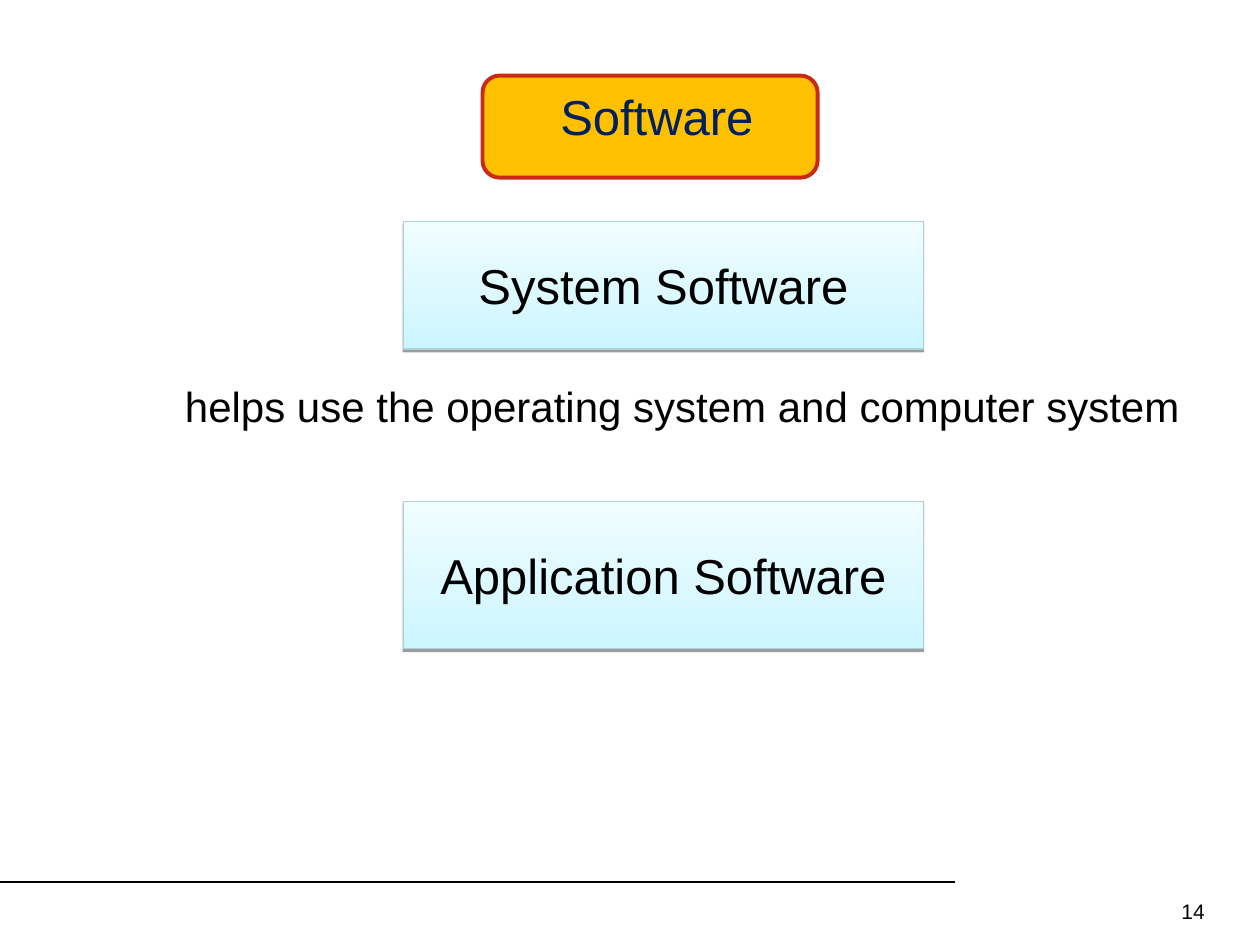
from lxml import etree
from pptx import Presentation
from pptx.dml.color import RGBColor
from pptx.enum.shapes import MSO_CONNECTOR, MSO_SHAPE
from pptx.enum.text import MSO_ANCHOR, MSO_AUTO_SIZE, PP_ALIGN
from pptx.oxml import parse_xml
from pptx.oxml.ns import nsdecls, qn
from pptx.util import Inches, Pt

STRAIGHT = MSO_CONNECTOR.STRAIGHT
RECTANGLE, ROUNDED = MSO_SHAPE.RECTANGLE, MSO_SHAPE.ROUNDED_RECTANGLE
TOP, MIDDLE = MSO_ANCHOR.TOP, MSO_ANCHOR.MIDDLE
LEFT, CENTER, RIGHT = PP_ALIGN.LEFT, PP_ALIGN.CENTER, PP_ALIGN.RIGHT
FIT_SHAPE = MSO_AUTO_SIZE.SHAPE_TO_FIT_TEXT

WIDTH, HEIGHT = 10, 7.5
FONT = "Arial"
BLACK, NAVY, AMBER, RED = "000000", "002060", "FFC000", "C92A15"
PALE_CYAN, NEAR_WHITE, CYAN_EDGE = "CCF6FF", "F0FDFF", "ADD1D8"
CATEGORY_LEFT, CATEGORY_WIDTH = 3.2, 4.13


def color(value):
    return RGBColor.from_string(value)


def inches(box):
    return [Inches(length) for length in box]


def write(shape, text, size, text_color, align, anchor=TOP, wrap=True):
    frame = shape.text_frame
    frame.word_wrap = wrap
    frame.vertical_anchor = anchor
    paragraph = frame.paragraphs[0]
    paragraph.alignment = align
    run = paragraph.add_run()
    run.text = text
    run.font.name = FONT
    run.font.size = Pt(size)
    run.font.color.rgb = color(text_color)


def outline(shape, line_color, width):
    shape.line.color.rgb = color(line_color)
    shape.line.width = Pt(width)


def add_drop_shadow(shape):
    shape._element.spPr.append(parse_xml(
        f'<a:effectLst {nsdecls("a")}>'
        '<a:outerShdw blurRad="0" dist="20320" dir="5400000" rotWithShape="0">'
        f'<a:srgbClr val="{BLACK}"><a:alpha val="38000"/></a:srgbClr>'
        '</a:outerShdw></a:effectLst>'))


def add_title(slide, box, text):
    shape = slide.shapes.add_shape(ROUNDED, *inches(box))
    shape.adjustments[0] = 0.167
    shape.shadow.inherit = False
    shape.fill.solid()
    shape.fill.fore_color.rgb = color(AMBER)
    outline(shape, RED, 2.25)
    write(shape, text, 28, NAVY, CENTER, wrap=False)


def add_category(slide, box, text):
    shape = slide.shapes.add_shape(RECTANGLE, *inches(box))
    shape.fill.gradient()
    shape.fill.gradient_angle = 90
    for stop, stop_color in zip(shape.fill.gradient_stops, (PALE_CYAN, NEAR_WHITE)):
        stop.color.rgb = color(stop_color)
    outline(shape, CYAN_EDGE, 0.75)
    add_drop_shadow(shape)
    write(shape, text, 28, BLACK, CENTER, MIDDLE, wrap=False)


def add_description(slide, box, text):
    text_box = slide.shapes.add_textbox(*inches(box))
    write(text_box, text, 24, BLACK, LEFT)
    text_box.text_frame.auto_size = FIT_SHAPE


def add_footer(slide, top, rule_width, number_box, number):
    rule = slide.shapes.add_connector(STRAIGHT, *inches((0, top, rule_width, top)))
    outline(rule, BLACK, 0.75)
    etree.SubElement(rule._element.spPr, qn("a:effectLst"))
    text_box = slide.shapes.add_textbox(*inches(number_box))
    write(text_box, number, 12, BLACK, RIGHT)


def main():
    presentation = Presentation()
    presentation.slide_width, presentation.slide_height = inches((WIDTH, HEIGHT))
    slide = presentation.slides.add_slide(presentation.slide_layouts[6])
    add_footer(slide, 7, 7.58, (7.33, 7.08, 2.33, 0.27), "14")
    add_title(slide, (3.83, 0.6, 2.66, 0.81), " Software")
    for top, height, name in ((1.76, 1.01, "System Software"),
                              (3.98, 1.17, "Application Software")):
        add_category(slide, (CATEGORY_LEFT, top, CATEGORY_WIDTH, height), name)
    add_description(slide, (1.37, 2.97, 8.3, 0.5),
                    "helps use the operating system and computer system")
    presentation.save("out.pptx")


if __name__ == "__main__":
    main()
